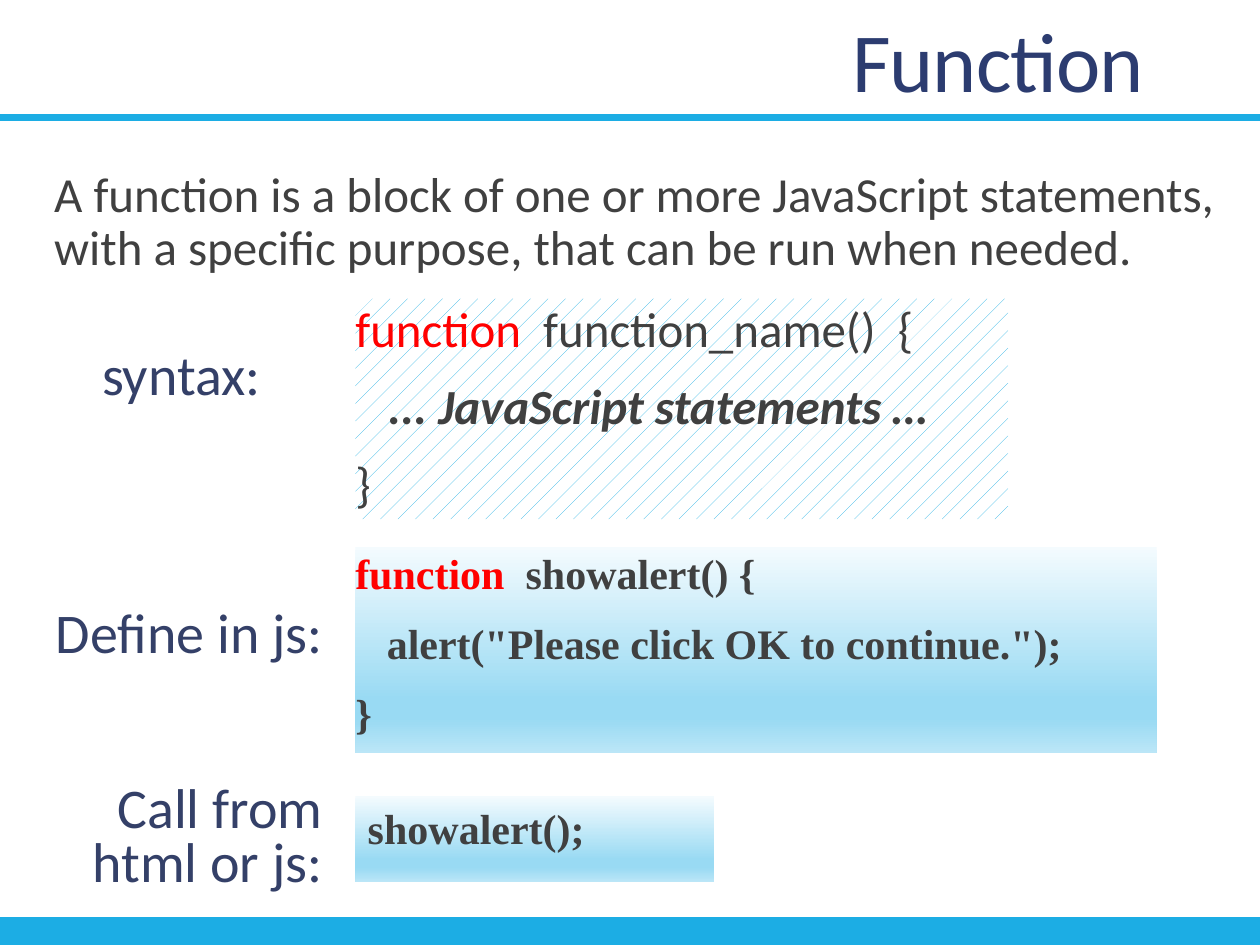
from lxml import etree
from pptx import Presentation
from pptx.dml.color import RGBColor
from pptx.enum.dml import MSO_PATTERN
from pptx.enum.shapes import MSO_CONNECTOR, MSO_SHAPE
from pptx.enum.text import MSO_ANCHOR, MSO_AUTO_SIZE, PP_ALIGN
from pptx.oxml.ns import qn
from pptx.util import Inches, Pt

TOP, MIDDLE, BOTTOM = MSO_ANCHOR.TOP, MSO_ANCHOR.MIDDLE, MSO_ANCHOR.BOTTOM
LEFT, RIGHT = PP_ALIGN.LEFT, PP_ALIGN.RIGHT

NAVY = RGBColor(0x2C, 0x3C, 0x70)
LABEL = RGBColor(0x34, 0x40, 0x68)
GRAY = RGBColor(0x40, 0x40, 0x40)
RED = RGBColor(0xFF, 0x00, 0x00)
BLUE = RGBColor(0x1C, 0xAD, 0xE4)
WHITE = RGBColor(0xFF, 0xFF, 0xFF)
GRADIENT = [(0, "F4FBFE"), (74, "99DAF3"), (83, "99DAF3"), (100, "BBE6F7")]
SANS, SERIF = "Calibri", "Times New Roman"

# Content: a paragraph is (indent in inches, [(text, colour, bold, italic)])
TITLE = "Function"
INTRO = [(0.1, [("A function is a block of one or more JavaScript statements, "
                 "with a specific purpose, that can be run when needed.",
                 GRAY, False, False)])]
SYNTAX = [
    (0, [("function  ", RED, False, False),
         ("function_name()  {", GRAY, False, False)]),
    (0.26, [("... JavaScript statements …", GRAY, True, True)]),
    (0, [("}", GRAY, False, False)]),
]
DEFINE = [
    (0, [("function  ", RED, True, False), ("showalert() {", GRAY, True, False)]),
    (0.25, [('alert("Please click OK to continue.");', GRAY, True, False)]),
    (0, [("}", GRAY, True, False)]),
]
CALL = [(0, [("showalert();", GRAY, True, False)])]
LABELS = [
    ("Define in js:", (0.28, 4.61, 2.38, 0.9)),
    ("Call from html or js:", (0.08, 6.21, 2.58, 0.9)),
    ("syntax:", (0.57, 2.56, 1.6, 0.9)),
]
RULES = [(0.93, 4), (7.42, 20)]  # y in inches, width in points


def place(sp, box):
    sp.left, sp.top, sp.width, sp.height = map(Inches, box)


def write(sp, paragraphs, font, size, anchor=TOP, align=LEFT, inset=0.0,
          line=0.9, before=12, after=2):
    tf = sp.text_frame
    tf.word_wrap = True
    tf.auto_size = MSO_AUTO_SIZE.NONE
    tf.vertical_anchor = anchor
    tf.margin_left = tf.margin_right = Inches(inset)
    tf.margin_top = tf.margin_bottom = Inches(0.05)
    for i, (indent, runs) in enumerate(paragraphs):
        p = tf.add_paragraph() if i else tf.paragraphs[0]
        p.alignment, p.line_spacing = align, line
        p.space_before, p.space_after = Pt(before), Pt(after)
        pPr = p._p.get_or_add_pPr()
        pPr.set("marL", str(Inches(indent)))
        pPr.set("indent", "0")
        etree.SubElement(pPr, qn("a:buNone"))
        for text, color, bold, italic in runs:
            r = p.add_run()
            r.text = text
            r.font.name, r.font.size = font, Pt(size)
            r.font.bold, r.font.italic = bold, italic
            r.font.color.rgb = color


def add_text(slide, box):
    sp = slide.shapes.add_textbox(0, 0, 0, 0)
    place(sp, box)
    return sp


def add_panel(slide, box):
    sp = slide.shapes.add_shape(MSO_SHAPE.RECTANGLE, *map(Inches, box))
    sp.shadow.inherit = False
    sp.line.fill.background()
    sp.fill.gradient()
    sp.fill.gradient_angle = 270
    stops = sp._element.spPr.find(qn("a:gradFill")).find(qn("a:gsLst"))
    for stop in list(stops):
        stops.remove(stop)
    for pos, color in GRADIENT:
        stop = etree.SubElement(stops, qn("a:gs"), pos=str(pos * 1000))
        etree.SubElement(stop, qn("a:srgbClr"), val=color)
    return sp


def main():
    prs = Presentation()
    prs.slide_width, prs.slide_height = Inches(10), Inches(7.5)
    slide = prs.slides.add_slide(prs.slide_layouts[1])

    # Title
    title = slide.shapes.title
    place(title, (0.93, 0.06, 8.25, 0.86))
    write(title, [(0, [(TITLE, NAVY, False, False)])], SANS, 48, BOTTOM, RIGHT,
          inset=0.1, line=0.85, before=0, after=0)
    title.text_frame.paragraphs[0].runs[0]._r.get_or_add_rPr().set("spc", "-50")

    # Syntax block with a pattern fill
    syntax = slide.placeholders[1]
    place(syntax, (2.82, 2.37, 5.18, 1.75))
    syntax.fill.patterned()
    syntax.fill.pattern = MSO_PATTERN.PERCENT_5
    syntax.fill.fore_color.rgb = BLUE
    syntax.fill.back_color.rgb = WHITE
    write(syntax, SYNTAX, SANS, 28)

    # Header and footer rules
    for y, width in RULES:
        rule = slide.shapes.add_connector(MSO_CONNECTOR.STRAIGHT, 0, Inches(y),
                                          prs.slide_width, Inches(y))
        rule.line.color.rgb, rule.line.width = BLUE, Pt(width)
        etree.SubElement(rule._element.spPr, qn("a:effectLst"))

    # Introduction and code panels
    write(add_text(slide, (0.33, 1.3, 9.42, 0.97)), INTRO, SANS, 28)
    write(add_panel(slide, (2.82, 4.34, 6.36, 1.64)), DEFINE, SERIF, 24)
    write(add_panel(slide, (2.82, 6.32, 2.85, 0.68)), CALL, SERIF, 24,
          inset=0.1, line=1.0, before=4.8, after=0)

    # Labels beside the blocks
    for text, box in LABELS:
        write(add_text(slide, box), [(0, [(text, LABEL, False, False)])], SANS, 32,
              MIDDLE, RIGHT, inset=0.1, line=0.8, before=0, after=0)

    prs.save("out.pptx")


if __name__ == "__main__":
    main()
